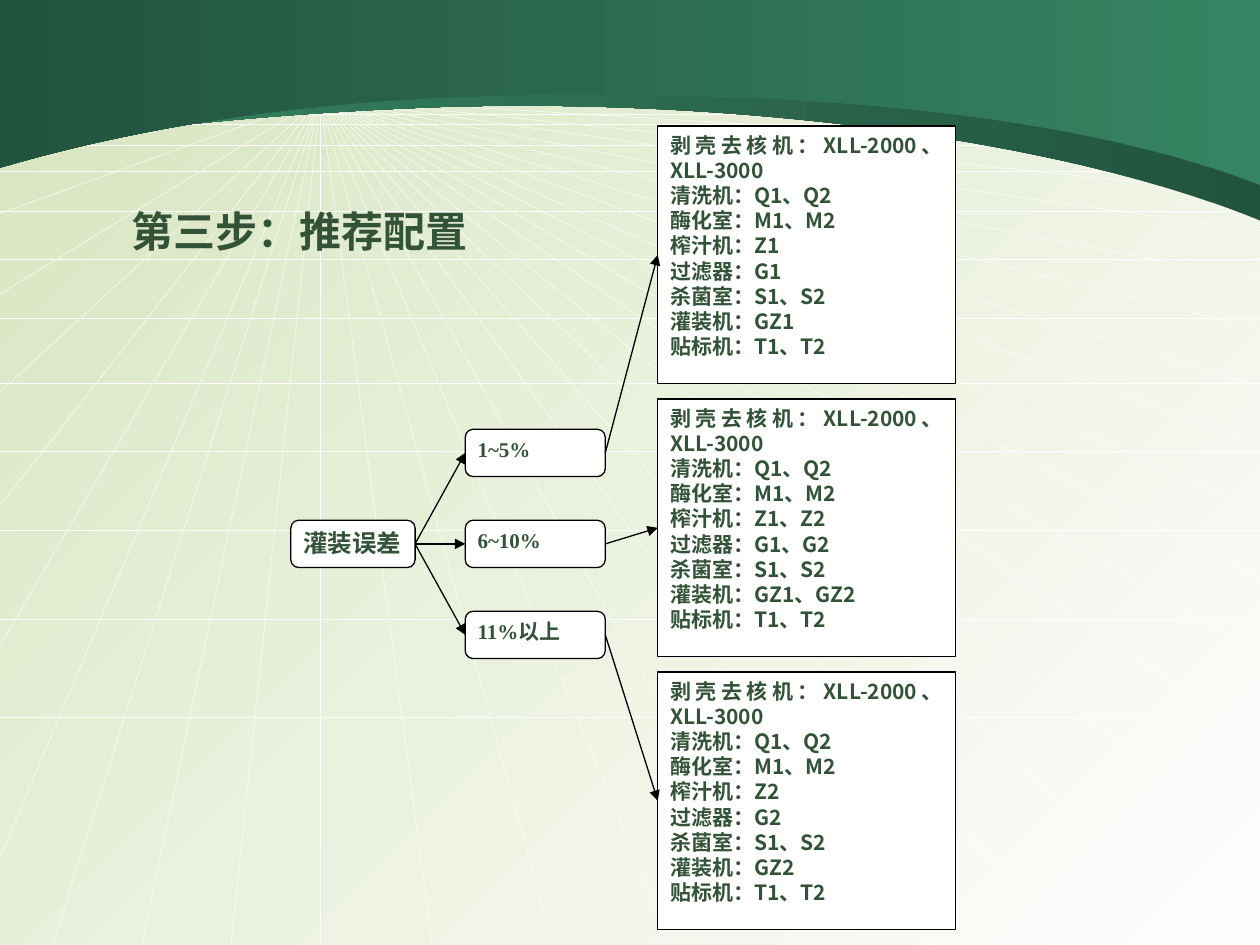
from dataclasses import dataclass

import lxml.etree
import pptx
import pptx.dml.color
import pptx.enum.shapes
import pptx.enum.text
import pptx.oxml.ns
import pptx.util

Pt = pptx.util.Pt
RGB = pptx.dml.color.RGBColor.from_string
SHAPE = pptx.enum.shapes.MSO_SHAPE
ALIGN = pptx.enum.text.PP_ALIGN
qn = pptx.oxml.ns.qn


@dataclass(frozen=True)
class Theme:
    """Colours, fonts and sizes of the slide."""
    ink: str = "335338"
    line: str = "000000"
    paper: str = "FFFFFF"
    glow: str = "FEFEFE"
    meadow: str = "D7E4BE"
    dark: str = "22533E"
    light: str = "368463"
    cjk: str = "Noto Sans CJK SC"
    serif: str = "Times New Roman"
    sans: str = "Arial"
    title_size: float = 24
    root_size: float = 14
    body_size: float = 12
    border: float = 0.74
    hairline: float = 0.26


THEME = Theme()
LEFT_SITE, RIGHT_SITE = 1, 3


def fill_gradient(fill, start, end, angle):
    """Give a fill two gradient stops at a counter-clockwise angle."""
    fill.gradient()
    fill.gradient_angle = angle
    for stop, colour in zip(fill.gradient_stops, (start, end)):
        stop.color.rgb = RGB(colour)


def add_line(slide, start, end, colour, width, arrow=False):
    """Draw a straight line, with an arrowhead at its end if asked."""
    line = slide.shapes.add_connector(
        pptx.enum.shapes.MSO_CONNECTOR.STRAIGHT, *map(Pt, (*start, *end)))
    line.line.color.rgb = RGB(colour)
    line.line.width = Pt(width)
    if arrow:
        lxml.etree.SubElement(line.line._get_or_add_ln(), qn("a:tailEnd"), type="triangle")
    lxml.etree.SubElement(line._element.spPr, qn("a:effectLst"))
    return line


def link(slide, source, target):
    """Join the right side of one box to the left side of another."""
    arrow = add_line(slide, (0, 0), (1, 1), THEME.line, THEME.border, arrow=True)
    arrow.begin_connect(source, RIGHT_SITE)
    arrow.end_connect(target, LEFT_SITE)


def write(frame, lines, font, size, align, insets, spacing=None):
    """Fill a text frame with bold paragraphs of one style."""
    frame.word_wrap = True
    frame.auto_size = pptx.enum.text.MSO_AUTO_SIZE.NONE
    frame.vertical_anchor = pptx.enum.text.MSO_ANCHOR.TOP
    frame.margin_left = frame.margin_right = Pt(insets[0])
    frame.margin_top = frame.margin_bottom = Pt(insets[1])
    frame.text = "\n".join(lines)
    for paragraph in frame.paragraphs:
        paragraph.alignment = align
        if spacing:
            paragraph.line_spacing = Pt(spacing)
        paragraph.font.name = font
        paragraph.font.size = Pt(size)
        paragraph.font.bold = True
        paragraph.font.color.rgb = RGB(THEME.ink)
        defaults = paragraph._p.get_or_add_pPr().find(qn("a:defRPr"))
        lxml.etree.SubElement(defaults, qn("a:ea"), typeface=THEME.cjk)


def add_box(slide, box, kind, lines, font, size, insets, spacing=None):
    """Add a white outlined box with justified text."""
    shape = slide.shapes.add_shape(kind, *map(Pt, box))
    shape.shadow.inherit = False
    shape.fill.solid()
    shape.fill.fore_color.rgb = RGB(THEME.paper)
    shape.line.color.rgb = RGB(THEME.line)
    shape.line.width = Pt(THEME.border)
    write(shape.text_frame, lines, font, size, ALIGN.JUSTIFY, insets, spacing)
    return shape


def add_perspective_grid(slide, box):
    """Draw rays from a vanishing point and the horizontals across them."""
    left, top, width, height = box
    right, bottom = left + width, top + height
    vanishing = (left + 183, top + 56)
    ends = [(left + x, bottom) for x in
            (30, 81, 132, 183, 247, 316, 384, 454, 531, 609, 691)]
    ends += [(right, top + y) for y in
             (72, 89, 111, 132, 160, 188, 221, 254, 292, 330, 374, 424, 490)]
    ends += [(left, top + y) for y in (56, 70, 84, 84, 122, 168, 224, 289, 369, 490)]
    rays = [(vanishing, end) for end in ends]
    horizontals = [((left, top + y), (right, top + y)) for y in
                   (60, 65, 71, 83, 98, 121, 148, 182, 219, 258, 303, 354, 410)]
    for start, end in rays + horizontals:
        add_line(slide, start, end, THEME.paper, THEME.hairline)


def curve_segments(shape, first, last):
    """Turn a range of line segments into cubic curves, three points each."""
    segments = list(shape._element.iter(qn("a:lnTo")))[first:last]
    for index in range(0, len(segments), 3):
        curve = lxml.etree.Element(qn("a:cubicBezTo"))
        segments[index].addprevious(curve)
        for segment in segments[index:index + 3]:
            curve.append(segment[0])
            segment.getparent().remove(segment)


def add_band(slide, box, edge, start, end):
    """Add a header band whose lower edge is two joined cubic curves."""
    left, top, width, _ = box
    outline = [(Pt(left + x), Pt(top + y)) for x, y in [(0, 0), *edge, (width, 0)]]
    builder = slide.shapes.build_freeform(*outline[0], scale=1.0)
    builder.add_line_segments(outline[1:], close=True)
    band = builder.convert_to_shape()
    curve_segments(band, 1, len(edge))
    band.shadow.inherit = False
    band.line.fill.background()
    fill_gradient(band.fill, start, end, 180)


def add_backdrop(slide, box):
    """Build the backdrop and hand it to the slide master."""
    master = slide.slide_layout.slide_master
    fill_gradient(master.background.fill, THEME.glow, THEME.meadow, 135)
    add_perspective_grid(slide, box)
    lower = [(0, 85.7), (8, 85), (96, 67), (250, 61.2), (404, 56), (598, 76), (720, 126)]
    upper = [(0, 95.8), (8, 94), (109, 61), (262, 55.4), (415, 50), (598, 58), (720, 105.8)]
    add_band(slide, box, lower, THEME.dark, THEME.light)
    add_band(slide, box, upper, THEME.light, THEME.dark)
    for part in list(slide.shapes):
        if not part.is_placeholder:
            master.shapes._spTree.append(part._element)


def add_title(slide, box, text):
    """Place and format the title."""
    title = slide.shapes.title
    title.left, title.top, title.width, title.height = map(Pt, box)
    write(title.text_frame, [text], THEME.sans, THEME.title_size,
          ALIGN.CENTER, (7.2, 3.6), spacing=28.7)


def add_decision_tree(slide, box, question, branches):
    """Add the question, its answers and a machine list for each answer."""
    left, top, _, _ = box
    small_insets = (5.75, 2.9)
    root = add_box(slide, (left, top + 225.3, 71, 27), SHAPE.ROUNDED_RECTANGLE,
                   [question], THEME.serif, THEME.root_size, small_insets)
    for row, (answer, machines) in enumerate(branches):
        choice = add_box(slide, (left + 99.7, top + 173.3 + 52 * row, 80, 27),
                         SHAPE.ROUNDED_RECTANGLE, [answer], THEME.serif,
                         THEME.body_size, small_insets)
        card = add_box(slide, (left + 209.7, top + 156 * row, 170, 147.3),
                       SHAPE.RECTANGLE, machines, THEME.cjk, THEME.body_size,
                       (7.2, 3.6), spacing=14.4)
        link(slide, root, choice)
        link(slide, choice, card)


def machine_list(press, strainer, filler):
    """Return the recommended machines; three of them vary."""
    return ["剥壳去核机：XLL-2000、XLL-3000", "清洗机：Q1、Q2", "酶化室：M1、M2",
            f"榨汁机：{press}", f"过滤器：{strainer}", "杀菌室：S1、S2",
            f"灌装机：{filler}", "贴标机：T1、T2"]


BRANCHES = [
    ("1~5%", machine_list("Z1", "G1", "GZ1")),
    ("6~10%", machine_list("Z1、Z2", "G1、G2", "GZ1、GZ2")),
    ("11%以上", machine_list("Z2", "G2", "GZ2")),
]

presentation = pptx.Presentation()
presentation.slide_width, presentation.slide_height = Pt(720), Pt(540)
slide = presentation.slides.add_slide(presentation.slide_layouts[5])
add_backdrop(slide, (0, 0, 720, 540))
add_title(slide, (24, 114, 294, 93.5), "第三步：推荐配置")
add_decision_tree(slide, (166.2, 72, 379.7, 459.3), "灌装误差", BRANCHES)
presentation.save("out.pptx")
